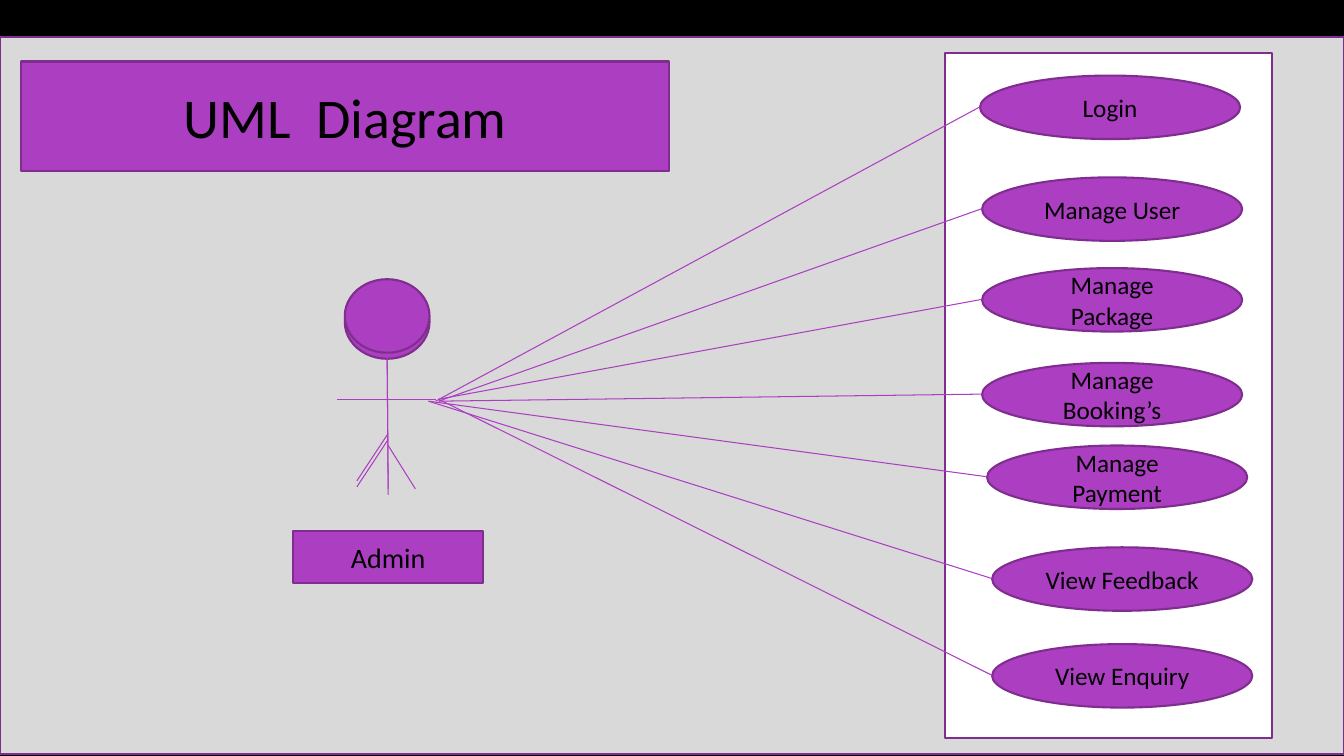
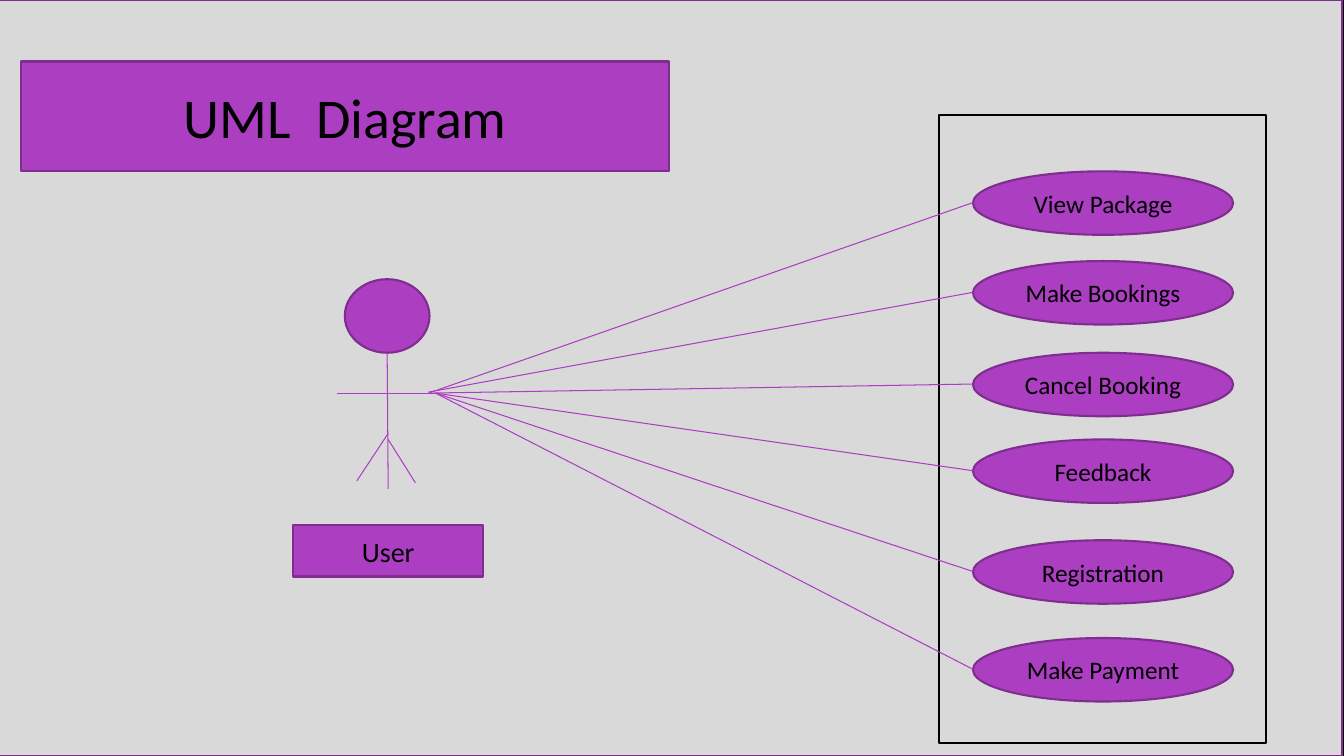
import typing

import lxml.etree
import pptx
import pptx.dml.color
import pptx.enum.shapes
import pptx.enum.text
import pptx.oxml.ns
import pptx.util

SCALE = 9144
FONT = "Calibri"
BLACK, WHITE = "000000", "FFFFFF"
FILL, EDGE = "AC3EC1", "7F2E8F"
RECT = pptx.enum.shapes.MSO_SHAPE.RECTANGLE
OVAL = pptx.enum.shapes.MSO_SHAPE.OVAL


class Box(typing.NamedTuple):
    left: int
    top: int
    width: int
    height: int


class Case(typing.NamedTuple):
    text: str
    left: int
    top: int
    hand: tuple[int, int]


class Page(typing.NamedTuple):
    back: Box
    frame: Box
    inside: str | None
    border: str
    actor: str
    drop: int
    double: bool
    cases: list[Case]


TITLE = Box(21, 61, 643, 109)
OVAL_W, OVAL_H = 258, 63

PAGES = [
    Page(Box(0, 37, 1333, 711), Box(937, 53, 325, 679), WHITE, EDGE, "Admin", 6, True, [
        Case("Login", 972, 75, (432, 398)),
        Case("Manage User", 974, 176, (435, 398)),
        Case("Manage Package", 974, 266, (435, 396)),
        Case("Manage Booking’s", 974, 360, (435, 398)),
        Case("Manage Payment", 979, 442, (425, 398)),
        Case("View Feedback", 984, 543, (425, 398)),
        Case("View Enquiry", 984, 639, (435, 396)),
    ]),
    Page(Box(-2, 0, 1333, 750), Box(931, 114, 325, 623), None, BLACK, "User", 0, False, [
        Case("View Package", 965, 170, (425, 390)),
        Case("Make Bookings", 965, 259, (425, 389)),
        Case("Cancel Booking", 965, 350, (425, 390)),
        Case("Feedback", 965, 436, (432, 390)),
        Case("Registration", 965, 536, (432, 390)),
        Case("Make Payment", 965, 633, (432, 390)),
    ]),
]


def px(size: int) -> int:
    return pptx.util.Emu(size * SCALE)


def tint(target, code: str) -> None:
    target.rgb = pptx.dml.color.RGBColor.from_string(code)


def paint(shape, fill: str | None, edge: str) -> None:
    shape.shadow.inherit = False
    if fill:
        shape.fill.solid()
        tint(shape.fill.fore_color, fill)
    else:
        shape.fill.background()
    tint(shape.line.color, edge)
    shape.line.width = pptx.util.Pt(1.5)


def write(shape, text: str, size: int) -> None:
    frame = shape.text_frame
    frame.text = text
    frame.word_wrap = True
    frame.auto_size = pptx.enum.text.MSO_AUTO_SIZE.NONE
    frame.vertical_anchor = pptx.enum.text.MSO_ANCHOR.MIDDLE
    line = frame.paragraphs[0]
    line.alignment = pptx.enum.text.PP_ALIGN.CENTER
    font = line.runs[0].font
    font.name, font.size = FONT, pptx.util.Pt(size)
    tint(font.color, BLACK)


def block(slide, kind, box: Box, fill: str | None = FILL, edge: str = EDGE,
          text: str = "", size: int = 18):
    shape = slide.shapes.add_shape(kind, *map(px, box))
    paint(shape, fill, edge)
    if text:
        write(shape, text, size)
    return shape


def link(slide, start: tuple[int, int], end: tuple[int, int]) -> None:
    line = slide.shapes.add_connector(
        pptx.enum.shapes.MSO_CONNECTOR.STRAIGHT, *map(px, start + end))
    tint(line.line.color, FILL)
    line.line.width = pptx.util.Pt(0.75)
    lxml.etree.SubElement(line.element.spPr, pptx.oxml.ns.qn("a:effectLst"))


def back(slide, box: Box) -> None:
    shape = block(slide, RECT, box, WHITE)
    color = shape.element.spPr.find(".//" + pptx.oxml.ns.qn("a:srgbClr"))
    lxml.etree.SubElement(color, pptx.oxml.ns.qn("a:alpha"), val="85000")


def torso(slide, drop: int) -> None:
    block(slide, OVAL, Box(342, 277 + drop, 84, 73))
    link(slide, (384, 350 + drop), (385, 485 + drop))
    link(slide, (385, 430 + drop), (354, 477 + drop))


def actor(slide, name: str, drop: int) -> None:
    torso(slide, drop)
    link(slide, (432, 390 + drop), (334, 390 + drop))
    link(slide, (385, 436 + drop), (412, 479 + drop))
    block(slide, RECT, Box(291, 521 + drop, 188, 51), text=name, size=20)


def head(slide) -> None:
    title = slide.shapes.title
    title.left, title.top, title.width, title.height = map(px, TITLE)
    paint(title, FILL, EDGE)
    write(title, "UML  Diagram", 40)
    title.element.getparent().append(title.element)


def draw(slide, page: Page) -> None:
    back(slide, page.back)
    head(slide)
    block(slide, RECT, page.frame, page.inside, page.border)
    for case in page.cases:
        block(slide, OVAL, Box(case.left, case.top, OVAL_W, OVAL_H), text=case.text)
    actor(slide, page.actor, page.drop)
    for case in page.cases:
        link(slide, (case.left, case.top + OVAL_H // 2), case.hand)
    if page.double:
        torso(slide, 0)


def main() -> None:
    deck = pptx.Presentation()
    deck.slide_width, deck.slide_height = px(1333), px(750)
    fill = deck.slide_master.background.fill
    fill.solid()
    tint(fill.fore_color, BLACK)
    for page in PAGES:
        draw(deck.slides.add_slide(deck.slide_layouts[5]), page)
    deck.save("out.pptx")


if __name__ == "__main__":
    main()
